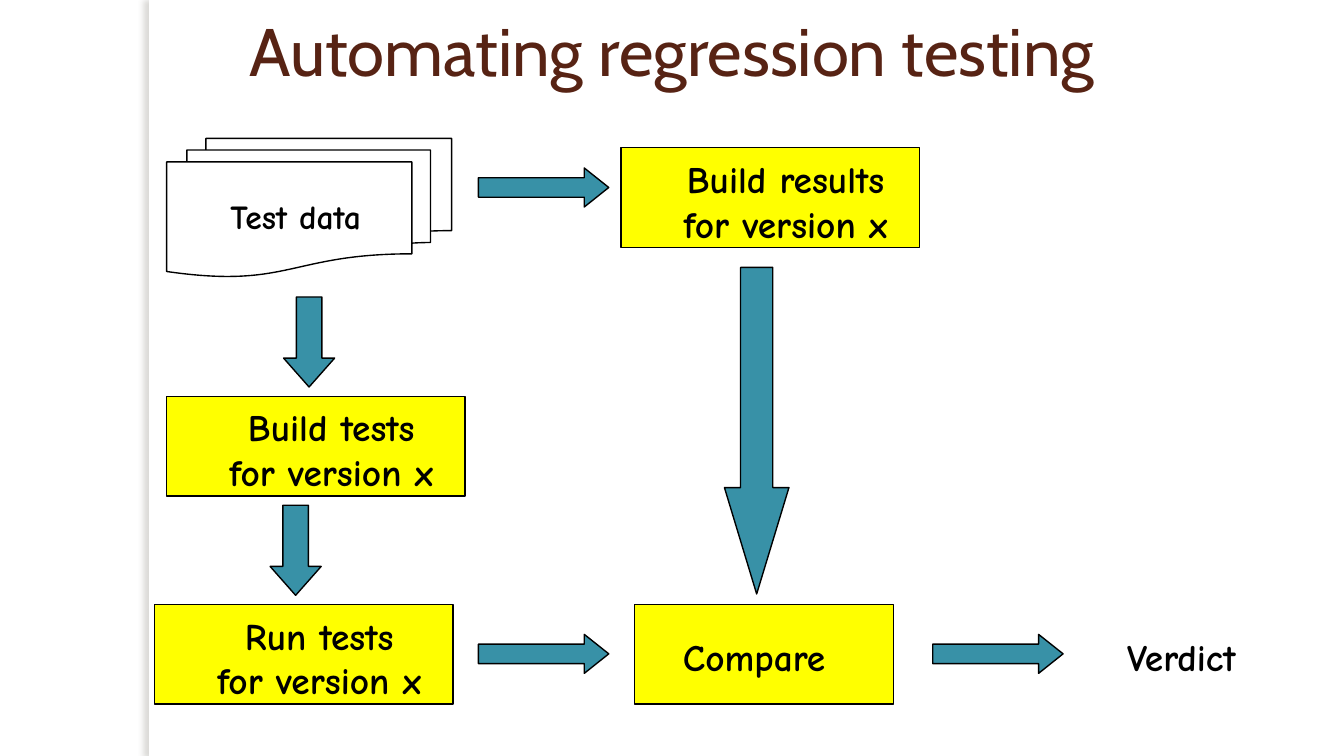
from lxml.etree import SubElement
from pptx import Presentation
from pptx.dml.color import RGBColor
from pptx.enum.shapes import MSO_SHAPE as Shape
from pptx.enum.text import MSO_ANCHOR as Anchor, MSO_AUTO_SIZE as Auto, PP_ALIGN as Align
from pptx.oxml.ns import qn
from pptx.util import Pt

SCALE = 9144  # 100 px to the inch
TITLE = "Automating regression testing"
YELLOW, TEAL, BLACK, WHITE, BROWN = "FFFF00", "3891A7", "000000", "FFFFFF", "572314"
BOX_H = 74
TOP, MID, LOW = 110, 295, 450  # tops of the rows of boxes

# left, top, width
BOXES = [(124, MID, 222), (115, LOW, 222), (462, TOP, 222), (472, LOW, 193)]
PAPERS = (124, 103, 212, 103)

# kind, place, head length as a share of the arrow's thickness
ARROWS = [
    (Shape.DOWN_ARROW, (211, 221, 38, 67), 0.565),
    (Shape.DOWN_ARROW, (201, 376, 38, 67), 0.565),
    (Shape.DOWN_ARROW, (539, 199, 48, 243), 1.649),
    (Shape.RIGHT_ARROW, (356, 125, 97, 29), 0.627),
    (Shape.RIGHT_ARROW, (356, 472, 97, 29), 0.627),
    (Shape.RIGHT_ARROW, (694, 472, 97, 29), 0.627),
]

# text, place, size, wrap
LABELS = [
    ("Test data", (144, 140, 152, 41), 18, True),
    ("Build tests \vfor version x ", (146, MID, 211, 78), 20, False),
    ("Run tests \vfor version x ", (137, LOW, 211, 78), 20, False),
    ("Build results \vfor version x ", (484, TOP, 211, 78), 20, False),
    ("Compare ", (492, 466, 148, 45), 20, False),
    ("Verdict ", (817, 466, 134, 45), 20, False),
]


def px(*vals):
    return [round(v * SCALE) for v in vals]


def rgb(code):
    return RGBColor.from_string(code)


def draw(kind, place, fill=None, line=BLACK):
    shape = slide.shapes.add_shape(kind, *px(*place))
    shape.shadow.inherit = False
    if fill:
        shape.fill.solid()
        shape.fill.fore_color.rgb = rgb(fill)
    else:
        shape.fill.background()
    if line:
        shape.line.color.rgb = rgb(line)
        shape.line.width = Pt(0.75)
    else:
        shape.line.fill.background()
    return shape


def write(frame, text, size, font, color, bold, pad):
    frame.text = text
    frame.margin_left, frame.margin_top, frame.margin_right, frame.margin_bottom = px(*pad * 2)
    for para in frame.paragraphs:
        para.alignment = Align.CENTER
        for run in para.runs:
            run.font.size, run.font.name, run.font.bold = Pt(size), font, bold
            run.font.color.rgb = rgb(color)


def cast(shape):
    """Add a soft shadow to the left of the shape."""
    effects = shape._element.spPr.find(qn("a:effectLst"))
    outer = SubElement(effects, qn("a:outerShdw"), blurRad=str(Pt(3)),
                       dist=str(Pt(3)), dir="10800000", rotWithShape="0")
    color = SubElement(outer, qn("a:srgbClr"), val="736F63")
    SubElement(color, qn("a:alpha"), val="25000")


prs = Presentation()
prs.slide_width, prs.slide_height = px(1000, 562.5)
slide = prs.slides.add_slide(prs.slide_layouts[5])

cast(draw(Shape.RECTANGLE, (111, 0, 8, 563), WHITE, None))

title = slide.shapes.title
title.left, title.top, title.width, title.height = px(50, -36, 900, 146)
write(title.text_frame, TITLE, 36, "Cabin", BROWN, False, (9, 4))
title.text_frame.vertical_anchor = Anchor.MIDDLE

for left, top, width in BOXES:
    draw(Shape.RECTANGLE, (left, top, width, BOX_H), YELLOW)
draw(Shape.FLOWCHART_MULTIDOCUMENT, PAPERS)

for kind, place, head in ARROWS:
    arrow = draw(kind, place, TEAL)
    arrow.adjustments[0] = 0.5
    arrow.adjustments[1] = head

for text, place, size, wrap in LABELS:
    frame = slide.shapes.add_textbox(*px(*place)).text_frame
    write(frame, text, size, "Comic Neue", BLACK, True, (11, 6))
    frame.word_wrap = wrap
    frame.auto_size = Auto.SHAPE_TO_FIT_TEXT

prs.save("out.pptx")
